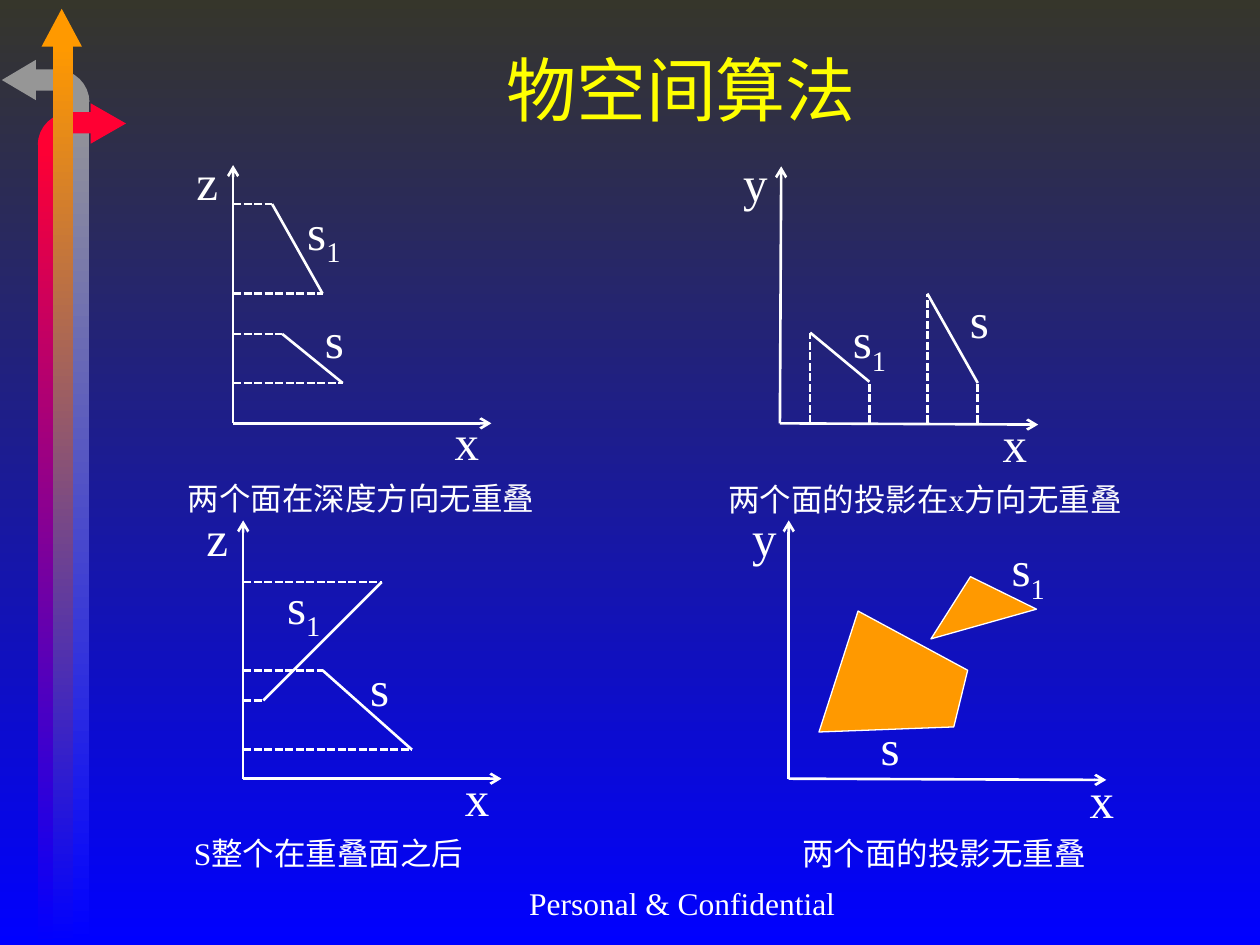
from math import cos, pi, sin

from pptx import Presentation
from pptx.dml.color import RGBColor
from pptx.enum.dml import MSO_LINE
from pptx.enum.shapes import MSO_CONNECTOR, MSO_SHAPE
from pptx.enum.text import MSO_ANCHOR, MSO_AUTO_SIZE, PP_ALIGN
from pptx.oxml.ns import qn
from pptx.util import Inches, Pt
from lxml.etree import SubElement

FONT = "Times New Roman"
WHITE, YELLOW, BLUE = "FFFFFF", "FFFF00", "0000FF"
GREY, RED, ORANGE = "969696", "FF0033", "FF9900"
LABEL_SIZES = {"x": (0.42, 0.57), "y": (0.42, 0.57), "z": (0.4, 0.57),
               "s": (0.4, 0.57), "s1": (0.6, 0.63)}

# Segments are projected onto the axis named in "project".
PANELS = [
    {"origin": (1.85, 3.36), "right": (3.9, 3.36), "top": (1.85, 1.31),
     "project": "vertical",
     "segments": [((2.72, 3.04), (2.24, 2.65)), ((2.56, 2.33), (2.16, 1.62))],
     "labels": [("z", 1.46, 1.15), ("x", 3.51, 3.22),
                ("s1", 2.34, 1.55), ("s", 2.48, 2.41)],
     "caption": ("两个面在深度方向无重叠", 1.39, 3.75, 3.1)},
    {"origin": (6.19, 3.36), "right": (8.24, 3.37), "top": (6.2, 1.32),
     "project": "horizontal",
     "segments": [((6.9, 3.03), (6.43, 2.64)), ((7.76, 3.04), (7.36, 2.33))],
     "labels": [("y", 5.8, 1.16), ("x", 7.86, 3.23),
                ("s1", 6.67, 2.41), ("s", 7.6, 2.25)],
     "caption": ("两个面的投影在x方向无重叠", 5.68, 3.76, 3.6)},
    {"origin": (1.93, 6.18), "right": (3.98, 6.18), "top": (1.93, 4.13),
     "project": "vertical",
     "segments": [((3.27, 5.95), (2.56, 5.32)), ((2.09, 5.56), (3.03, 4.62))],
     "labels": [("z", 1.54, 3.98), ("x", 3.59, 6.04),
                ("s1", 2.18, 4.52), ("s", 2.84, 5.17)],
     "caption": ("S整个在重叠面之后", 1.44, 6.57, 2.6)},
    {"origin": (6.26, 6.18), "right": (8.78, 6.19), "top": (6.26, 4.13),
     "project": None, "segments": [],
     "labels": [("y", 5.87, 3.98), ("x", 8.55, 6.06),
                ("s1", 7.93, 4.22), ("s", 6.89, 5.64)],
     "caption": ("两个面的投影无重叠", 6.27, 6.57, 2.6)},
]


def color(value):
    return RGBColor.from_string(value)


def fill_downward(fill, top, bottom):
    fill.gradient()
    fill.gradient_angle = 270
    for stop, value in zip(fill.gradient_stops, (top, bottom)):
        stop.color.rgb = color(value)


def paint(shape, fill, outline=None):
    shape.shadow.inherit = False
    shape.fill.solid()
    shape.fill.fore_color.rgb = color(fill)
    if outline:
        shape.line.color.rgb = color(outline)
        shape.line.width = Pt(0.75)
    else:
        shape.line.fill.background()


def add_preset(page, kind, bounds, fill, rotation=0, outline=None):
    shape = page.shapes.add_shape(kind, *map(Inches, bounds))
    shape.rotation = rotation
    paint(shape, fill, outline)
    return shape


def add_polygon(page, points, fill, outline=None):
    corners = [(Inches(x), Inches(y)) for x, y in points]
    builder = page.shapes.build_freeform(*corners[0])
    builder.add_line_segments(corners[1:], close=True)
    paint(builder.convert_to_shape(), fill, outline)


def add_elbow(page, center_x, center_y, side, fill):
    """Quarter ring above the center, opening to the right (1) or left (-1)."""
    def arc(radius_x, radius_y):
        angles = [step * pi / 16 for step in range(9)]
        return [(center_x + side * radius_x * sin(angle),
                 center_y - radius_y * cos(angle)) for angle in angles]
    add_polygon(page, arc(0.27, 0.26) + arc(0.11, 0.09)[::-1], fill)


def add_stem(page, left, top, width, fill):
    """Bar that fades into the background at the foot of the page."""
    bar = add_preset(page, MSO_SHAPE.RECTANGLE,
                     (left, top, width, 7.5 - top), fill)
    fill_downward(bar.fill, fill, BLUE)


def add_line(page, start, end, dashed=False, arrow=False):
    line = page.shapes.add_connector(
        MSO_CONNECTOR.STRAIGHT, *map(Inches, (*start, *end)))
    line.line.color.rgb = color(WHITE)
    line.line.width = Pt(1.5)
    if dashed:
        line.line.dash_style = MSO_LINE.SQUARE_DOT
    properties = line._element.spPr
    if arrow:
        SubElement(properties.find(qn("a:ln")), qn("a:tailEnd"), type="arrow")
    SubElement(properties, qn("a:effectLst"))


def format_span(span, size, value):
    span.font.name = FONT
    span.font.size = Pt(size)
    span.font.color.rgb = color(value)


def add_text(page, text, bounds, size, subscript=""):
    box = page.shapes.add_textbox(*map(Inches, bounds))
    frame = box.text_frame
    frame.word_wrap = True
    frame.auto_size = MSO_AUTO_SIZE.NONE
    frame.text = text
    paragraph = frame.paragraphs[0]
    if subscript:
        span = paragraph.add_run()
        span.text = subscript
        span.font._element.set("baseline", "-25000")
    for span in paragraph.runs:
        format_span(span, size, WHITE)
    return frame


def add_title(page, text):
    title = page.shapes.title
    title.left, title.top, title.width, title.height = map(
        Inches, (1.18, 0.32, 8.45, 0.77))
    frame = title.text_frame
    frame.text = text
    frame.vertical_anchor = MSO_ANCHOR.MIDDLE
    frame.paragraphs[0].alignment = PP_ALIGN.CENTER
    format_span(frame.paragraphs[0].runs[0], 40, YELLOW)


def add_footer(page, text):
    frame = add_text(page, text, (3.83, 6.92, 3.17, 0.5), 18)
    frame.vertical_anchor = MSO_ANCHOR.MIDDLE
    frame.paragraphs[0].alignment = PP_ALIGN.CENTER


def add_side_arrows(page):
    bar, head = MSO_SHAPE.RECTANGLE, MSO_SHAPE.ISOSCELES_TRIANGLE
    add_preset(page, bar, (0.28, 0.55, 0.16, 0.17), GREY)
    add_elbow(page, 0.44, 0.81, 1, GREY)
    add_preset(page, head, (-0.01, 0.5, 0.32, 0.27), GREY, rotation=270)
    add_preset(page, head, (0.33, 0.07, 0.32, 0.3), ORANGE)
    add_stem(page, 0.55, 0.81, 0.16, GREY)
    add_elbow(page, 0.57, 1.15, -1, RED)
    add_preset(page, head, (0.7, 0.84, 0.32, 0.28), RED, rotation=90)
    add_preset(page, bar, (0.57, 0.89, 0.16, 0.17), RED)
    add_stem(page, 0.3, 1.14, 0.16, RED)
    add_stem(page, 0.42, 0.36, 0.16, ORANGE)


def add_panel(page, panel):
    origin = panel["origin"]
    for tip in (panel["right"], panel["top"]):
        add_line(page, origin, tip, arrow=True)
    for segment in panel["segments"]:
        add_line(page, *segment)
        for x, y in segment:
            vertical = panel["project"] == "vertical"
            foot = (origin[0], y) if vertical else (x, origin[1])
            add_line(page, foot, (x, y), dashed=True)
    for name, left, top in panel["labels"]:
        add_text(page, name[0], (left, top, *LABEL_SIZES[name]), 28, name[1:])
    caption, left, top, width = panel["caption"]
    add_text(page, caption, (left, top, width, 0.4), 18)


def main():
    deck = Presentation()
    deck.slide_width, deck.slide_height = Inches(10), Inches(7.5)
    page = deck.slides.add_slide(deck.slide_layouts[5])
    fill_downward(page.background.fill, "36362B", BLUE)
    add_side_arrows(page)
    add_title(page, "物空间算法")
    add_footer(page, "Personal & Confidential")
    for panel in PANELS:
        add_panel(page, panel)
    add_polygon(page, [(6.81, 4.85), (6.5, 5.81), (7.57, 5.77), (7.68, 5.32)],
                ORANGE, WHITE)
    add_preset(page, MSO_SHAPE.ISOSCELES_TRIANGLE, (7.32, 4.57, 0.87, 0.39),
               ORANGE, rotation=344.3, outline=WHITE)
    deck.save("out.pptx")


if __name__ == "__main__":
    main()
